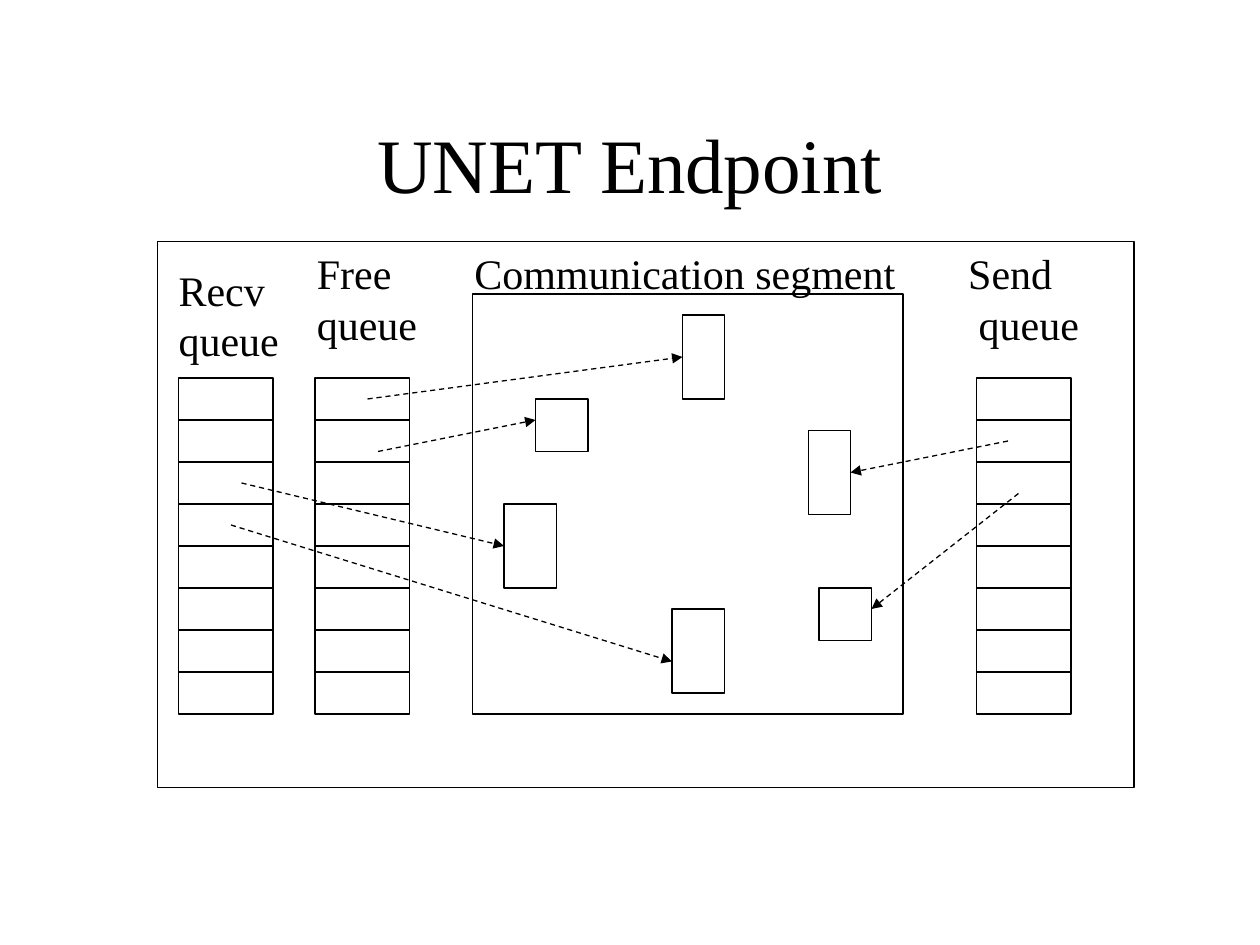
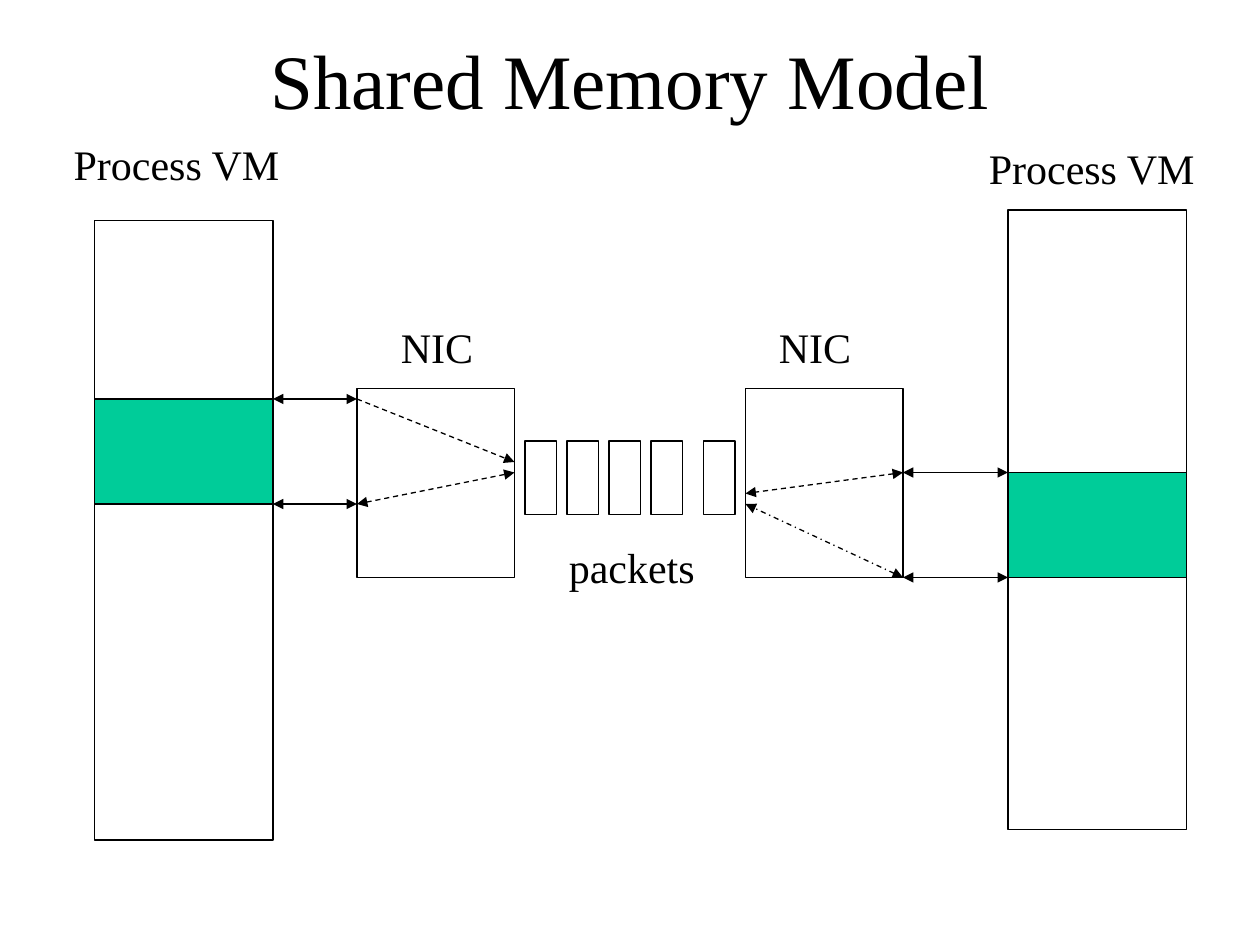
from lxml import etree
from pptx import Presentation
from pptx.dml.color import RGBColor
from pptx.enum.dml import MSO_LINE
from pptx.enum.shapes import MSO_CONNECTOR, MSO_SHAPE
from pptx.enum.text import MSO_ANCHOR, MSO_AUTO_SIZE, PP_ALIGN
from pptx.oxml.ns import qn
from pptx.util import Pt

RECTANGLE = MSO_SHAPE.RECTANGLE
STRAIGHT = MSO_CONNECTOR.STRAIGHT
DASH = MSO_LINE.DASH
DASH_DOT = MSO_LINE.DASH_DOT
MIDDLE = MSO_ANCHOR.MIDDLE
CENTER = PP_ALIGN.CENTER
FIT_SHAPE = MSO_AUTO_SIZE.SHAPE_TO_FIT_TEXT

COLORS = {"ink": "000000", "shared": "00CC99"}
FONT = "Times New Roman"
LINE_WIDTH = 0.75
QUEUE_TOP, QUEUE_SLOTS, SLOT_WIDTH, SLOT_HEIGHT = 216, 8, 54, 24
VM_WIDTH, VM_HEIGHT, SHARED_HEIGHT = 102, 354, 60
NIC_TOP, NIC_WIDTH, NIC_HEIGHT = 222, 90, 108


def color(name):
    """Return the named colour."""
    return RGBColor.from_string(COLORS[name])


def format_runs(frame, size):
    """Give every run the shared font and colour."""
    for paragraph in frame.paragraphs:
        for run in paragraph.runs:
            run.font.name = FONT
            run.font.size = Pt(size)
            run.font.color.rgb = color("ink")


def add_title(slide, top, text):
    """Add the centred slide title."""
    frame = slide.shapes.add_textbox(Pt(54), Pt(top), Pt(612), Pt(90)).text_frame
    frame.word_wrap = True
    frame.vertical_anchor = MIDDLE
    frame.text = text
    frame.paragraphs[0].alignment = CENTER
    format_runs(frame, 44)


def add_label(slide, left, top, width, text):
    """Add a label with one paragraph per line and return its text frame."""
    height = 7.2 + 28.8 * len(text.split("\n"))
    frame = slide.shapes.add_textbox(Pt(left), Pt(top), Pt(width), Pt(height)).text_frame
    frame.word_wrap = False
    frame.auto_size = FIT_SHAPE
    frame.text = text
    format_runs(frame, 24)
    return frame


def add_box(slide, left, top, width, height, fill=None):
    """Add an outlined rectangle, filled if a colour is named."""
    box = slide.shapes.add_shape(RECTANGLE, Pt(left), Pt(top), Pt(width), Pt(height))
    box.shadow.inherit = False
    if fill:
        box.fill.solid()
        box.fill.fore_color.rgb = color(fill)
    else:
        box.fill.background()
    box.line.color.rgb = color("ink")
    box.line.width = Pt(LINE_WIDTH)


def add_arrow(slide, start, end, dash=None, both_ends=False):
    """Add an arrow between two points, with a head at one or both ends."""
    arrow = slide.shapes.add_connector(STRAIGHT, *map(Pt, (*start, *end)))
    arrow.line.color.rgb = color("ink")
    arrow.line.width = Pt(LINE_WIDTH)
    if dash:
        arrow.line.dash_style = dash
    outline = arrow.line._get_or_add_ln()
    for tag in ("a:headEnd", "a:tailEnd") if both_ends else ("a:tailEnd",):
        etree.SubElement(outline, qn(tag), type="triangle")
    etree.SubElement(arrow._element.spPr, qn("a:effectLst"))


def add_queue(slide, left):
    """Stack the slots of one queue."""
    for slot in range(QUEUE_SLOTS):
        add_box(slide, left, QUEUE_TOP + slot * SLOT_HEIGHT, SLOT_WIDTH, SLOT_HEIGHT)


def add_host(slide, vm_left, vm_top, shared_top, nic_left, link_ends):
    """Draw a process memory, its shared region, its NIC and their links."""
    add_box(slide, vm_left, vm_top, VM_WIDTH, VM_HEIGHT)
    add_box(slide, nic_left, NIC_TOP, NIC_WIDTH, NIC_HEIGHT)
    add_box(slide, vm_left, shared_top, VM_WIDTH, SHARED_HEIGHT, "shared")
    link_start, link_end = link_ends
    for y in (shared_top, shared_top + SHARED_HEIGHT):
        add_arrow(slide, (link_start, y), (link_end, y), both_ends=True)


def build_endpoint(slide):
    """Build the endpoint slide with its queues and buffers."""
    add_title(slide, 48, "UNET Endpoint")
    add_box(slide, 90, 138, 558, 312)
    add_box(slide, 270, 168, 246, 240)
    add_label(slide, 264, 138, 255, "Communication segment")

    for queue_left in (558, 180, 102):
        add_queue(slide, queue_left)
    send_label = add_label(slide, 546.2, 138, 78, "Send\nqueue")
    send_label.paragraphs[1]._p.get_or_add_pPr().set("marL", str(Pt(6)))
    add_label(slide, 174, 138, 72, "Free\nqueue")
    add_label(slide, 95, 147.5, 72, "Recv\nqueue")

    buffers = [
        (462, 246, 24, 48), (468, 336, 30, 30), (288, 288, 30, 48),
        (306, 228, 30, 30), (384, 348, 30, 48), (390, 180, 24, 48),
    ]
    for buffer in buffers:
        add_box(slide, *buffer)

    descriptors = [
        ((582, 282), (498, 348)), ((576, 252), (486, 270)),
        ((210, 228), (390, 204)), ((216, 258), (306, 240)),
        ((138, 276), (288, 312)), ((132, 300), (384, 378)),
    ]
    for slot, buffer in descriptors:
        add_arrow(slide, slot, buffer, DASH)


def build_shared_memory(slide):
    """Build the shared memory slide with two hosts exchanging packets."""
    add_title(slide, 0, "Shared Memory Model")
    add_host(slide, 54, 126, 228, 204, (156, 204))
    add_host(slide, 576, 120, 270, 426, (516, 576))
    for packet_left in (300, 324, 348, 372, 402):
        add_box(slide, packet_left, 252, 18, 42)

    add_label(slide, 35, 75.5, 132.5, "Process VM")
    add_label(slide, 558, 78, 132.5, "Process VM")
    for nic_label_left in (222, 438):
        add_label(slide, nic_label_left, 180, 55.5, "NIC")
    add_label(slide, 318, 306, 86.5, "packets")

    add_arrow(slide, (204, 228), (294, 264), DASH)
    add_arrow(slide, (204, 288), (294, 270), DASH, both_ends=True)
    add_arrow(slide, (516, 330), (426, 288), DASH_DOT, both_ends=True)
    add_arrow(slide, (516, 270), (426, 282), DASH, both_ends=True)


def main():
    """Build and save the presentation."""
    deck = Presentation()
    deck.slide_width, deck.slide_height = Pt(720), Pt(540)
    blank = deck.slide_layouts[6]
    for build in (build_endpoint, build_shared_memory):
        build(deck.slides.add_slide(blank))
    deck.save("out.pptx")


if __name__ == "__main__":
    main()
